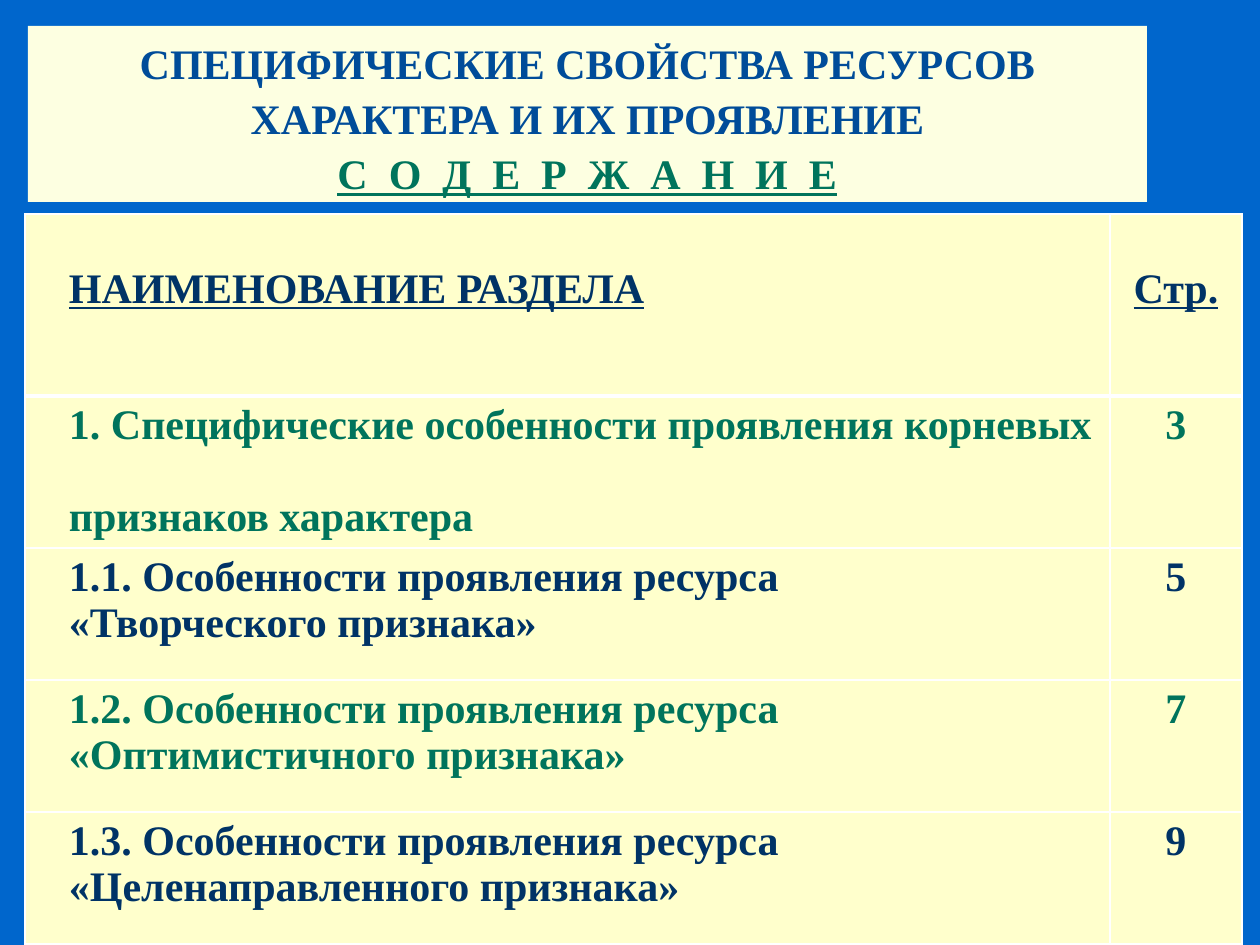
import pptx
import pptx.util
import pptx.dml.color
import pptx.enum.text
import pptx.oxml.ns
from lxml import etree

PX = 914400 // 126
FONT = "Times New Roman"
COLORS = {
    "background": "0066CC", "panel": "FDFFE1", "cell": "FFFFCC",
    "border": "FFFFFF", "blue": "004C99", "navy": "003366", "green": "00745C",
}
PP_ALIGN = pptx.enum.text.PP_ALIGN
MSO_ANCHOR = pptx.enum.text.MSO_ANCHOR
qn = pptx.oxml.ns.qn

SECTIONS = [
    (["1. Специфические особенности проявления корневых",
      "признаков характера"], "3"),
    (["1.1. Особенности проявления ресурса", "«Творческого признака»"], "5"),
    (["1.2. Особенности проявления ресурса", "«Оптимистичного признака»"], "7"),
    (["1.3. Особенности проявления ресурса", "«Целенаправленного признака»"], "9"),
]


def px(n):
    """Turn pixels into EMU."""
    return pptx.util.Emu(n * PX)


def set_fill(fill, color):
    """Apply a solid named colour."""
    fill.solid()
    fill.fore_color.rgb = pptx.dml.color.RGBColor.from_string(COLORS[color])


def add_run(p, text, color, underline=False):
    """Add a bold 24 pt run to a paragraph."""
    r = p.add_run()
    r.text = text
    r.font.name, r.font.size = FONT, pptx.util.Pt(24)
    r.font.bold, r.font.underline = True, underline
    set_fill(r.font.fill, color)
    return r


def set_borders(cell, bottom=1):
    """Draw white borders round a cell, with the bottom width in points."""
    tcPr = cell._tc.get_or_add_tcPr()
    for i, (side, width) in enumerate(
            [("lnL", 1), ("lnR", 1), ("lnT", 1), ("lnB", bottom)]):
        ln = etree.Element(qn("a:" + side), w=str(pptx.util.Pt(width)))
        solid = etree.SubElement(ln, qn("a:solidFill"))
        etree.SubElement(solid, qn("a:srgbClr"), val=COLORS["border"])
        tcPr.insert(i, ln)


def fill_cell(cell, lines, color, left=13, top=6, align=PP_ALIGN.LEFT,
              underline=False, gap=0, bottom=1):
    """Write lines as paragraphs and format the cell."""
    set_fill(cell.fill, "cell")
    set_borders(cell, bottom)
    cell.margin_left, cell.margin_right = px(left), px(13)
    cell.margin_top, cell.margin_bottom = px(top), px(6)
    tf = cell.text_frame
    for i, line in enumerate(lines):
        p = tf.add_paragraph() if i else tf.paragraphs[0]
        p.alignment = align
        if i:
            p.space_before = pptx.util.Pt(gap)
        add_run(p, line, color, underline)


def add_title(slide, x, y, w, h):
    """Place the heading panel in its title placeholder."""
    sp = slide.shapes.title
    sp.left, sp.top, sp.width, sp.height = px(x), px(y), px(w), px(h)
    set_fill(sp.fill, "panel")
    tf = sp.text_frame
    tf.word_wrap = True
    tf.auto_size = pptx.enum.text.MSO_AUTO_SIZE.NONE
    tf.vertical_anchor = MSO_ANCHOR.TOP
    tf.margin_left = tf.margin_right = px(13)
    tf.margin_top = tf.margin_bottom = px(6)
    p = tf.paragraphs[0]
    p.alignment, p.line_spacing = PP_ALIGN.CENTER, 1.1
    add_run(p, "СПЕЦИФИЧЕСКИЕ СВОЙСТВА РЕСУРСОВ ХАРАКТЕРА И ИХ ПРОЯВЛЕНИЕ", "blue")
    p.add_line_break()
    r = add_run(p, "С О Д Е Р Ж А Н И Е", "green", underline=True)
    r.font._element.set("spc", "300")


def add_contents(slide, x, y, widths, heights):
    """Place the table of contents with its sections and page numbers."""
    table = slide.shapes.add_table(
        len(heights), len(widths), px(x), px(y),
        px(sum(widths)), px(sum(heights))).table
    table.horz_banding = False
    for col, w in zip(table.columns, widths):
        col.width = px(w)
    for row, h in zip(table.rows, heights):
        row.height = px(h)

    header = dict(color="navy", top=52, underline=True, bottom=3)
    name = table.cell(0, 0)
    fill_cell(name, ["НАИМЕНОВАНИЕ РАЗДЕЛА\t"], left=44, **header)
    pPr = name.text_frame.paragraphs[0]._p.get_or_add_pPr()
    tabs = etree.SubElement(pPr, qn("a:tabLst"))
    etree.SubElement(tabs, qn("a:tab"), pos=str(px(628)), algn="l")
    fill_cell(table.cell(0, 1), ["Стр."], align=PP_ALIGN.CENTER, **header)

    for i, (lines, page) in enumerate(SECTIONS, 1):
        color = "green" if i % 2 else "navy"
        fill_cell(table.cell(i, 0), lines, color, left=44, gap=26 if i == 1 else 0)
        fill_cell(table.cell(i, 1), [page], color, align=PP_ALIGN.CENTER)


def main():
    """Build and save the slide."""
    prs = pptx.Presentation()
    prs.slide_width, prs.slide_height = px(1260), px(945)
    slide = prs.slides.add_slide(prs.slide_layouts[5])
    set_fill(slide.background.fill, "background")
    add_title(slide, 28, 26, 1119, 176)
    add_contents(slide, 25, 214, [1085, 132], [182, 152, 132, 132, 132])
    prs.save("out.pptx")


main()
